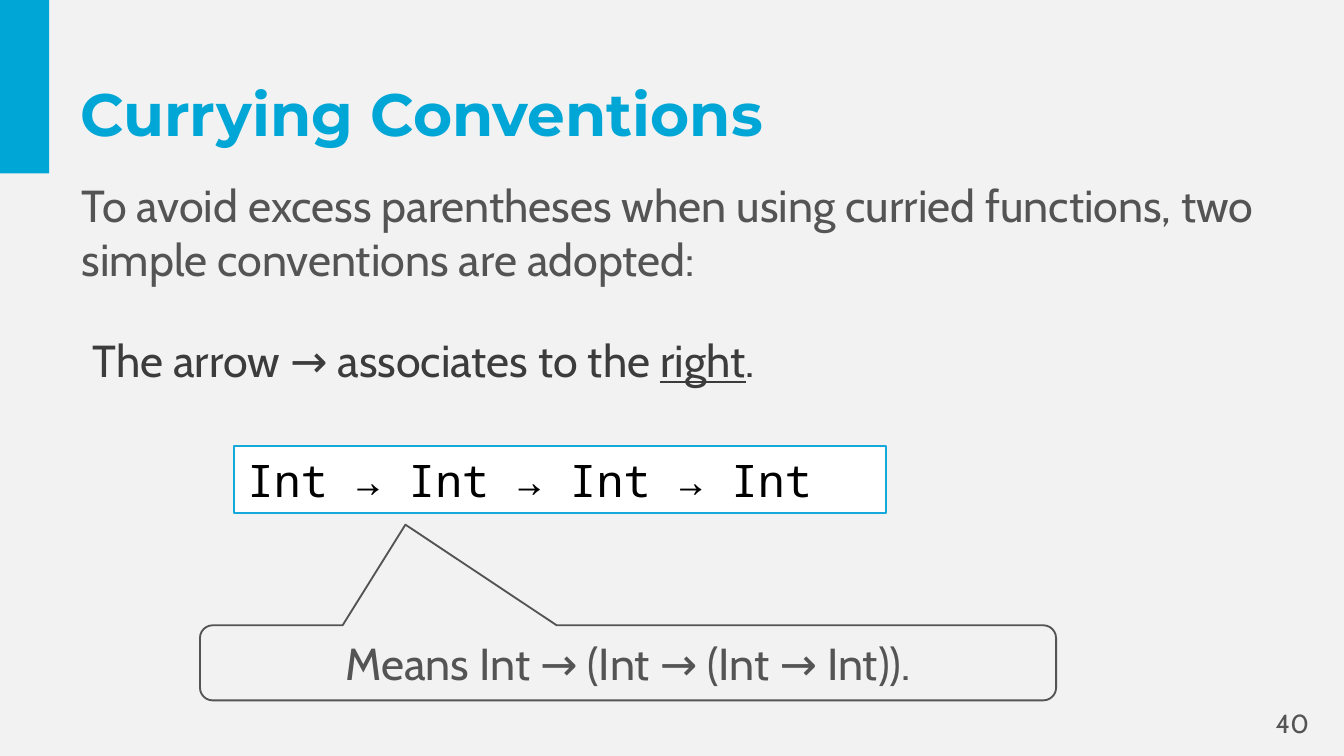
from pptx import Presentation
from pptx.dml.color import RGBColor
from pptx.enum.shapes import MSO_SHAPE
from pptx.enum.text import MSO_ANCHOR, PP_ALIGN
from pptx.util import Cm, Pt

TOP, MIDDLE = MSO_ANCHOR.TOP, MSO_ANCHOR.MIDDLE
LEFT, CENTER, RIGHT = PP_ALIGN.LEFT, PP_ALIGN.CENTER, PP_ALIGN.RIGHT
RECT, CALLOUT = MSO_SHAPE.RECTANGLE, MSO_SHAPE.ROUNDED_RECTANGULAR_CALLOUT
CYAN, GREY, DARK = "00A6D6", "545454", "3C3C3C"


def color(value):
    return RGBColor.from_string(value)


def write(box, text, ink, size=24, face="Cabin", align=LEFT, anchor=MIDDLE):
    frame = box.text_frame
    frame.word_wrap = True
    frame.vertical_anchor = anchor
    paragraph = frame.paragraphs[0]
    paragraph.text = text
    paragraph.alignment = align
    paragraph.font.name = face
    paragraph.font.size = Pt(size)
    paragraph.font.color.rgb = color(ink)
    return paragraph


prs = Presentation()
prs.slide_width, prs.slide_height = Cm(25.4), Cm(14.29)
slide = prs.slides.add_slide(prs.slide_layouts[6])
slide.background.fill.solid()
slide.background.fill.fore_color.rgb = color("F2F2F2")
shapes = slide.shapes

# Accent bar in the top left corner
accent = shapes.add_shape(RECT, 0, 0, Cm(0.93), Cm(3.28))
accent.shadow.inherit = False
accent.fill.solid()
accent.fill.fore_color.rgb = color(CYAN)
accent.line.fill.background()

# Page number
page_number = shapes.add_textbox(Cm(23.29), Cm(13.34), Cm(1.7), Cm(0.64))
write(page_number, "40", GREY, size=14, align=RIGHT)

# Title and introduction
title = shapes.add_textbox(Cm(1.27), Cm(0.58), Cm(22.86), Cm(3.1))
write(title, "Currying Conventions", CYAN, size=32, face="Montserrat").font.bold = True

intro = shapes.add_textbox(Cm(1.3), Cm(3.23), Cm(23.29), Cm(2.31))
write(intro, "To avoid excess parentheses when using curried functions, "
      "two simple conventions are adopted:", GREY)

# Convention, with its key word underlined
convention = shapes.add_textbox(Cm(1.5), Cm(6.17), Cm(20.52), Cm(1.32))
sentence = write(convention, "The arrow → associates to the ", DARK, anchor=TOP)
key_word = sentence.add_run()
key_word.text = "right"
key_word.font.underline = True
sentence.add_run().text = "."

# Type signature
signature = shapes.add_shape(RECT, Cm(4.42), Cm(8.43), Cm(12.32), Cm(1.27))
signature.shadow.inherit = False
signature.fill.solid()
signature.fill.fore_color.rgb = color("FFFFFF")
signature.line.color.rgb = color("15A8DB")
signature.line.width = Pt(1)
write(signature, "Int → Int → Int → Int", "000000", face="Noto Sans Mono")

# Callout pointing at the signature
meaning = shapes.add_shape(CALLOUT, Cm(3.78), Cm(11.82), Cm(16.18), Cm(1.42))
meaning.shadow.inherit = False
for i, value in enumerate((-0.26, -1.84, 0.17)):
    meaning.adjustments[i] = value
meaning.fill.background()
meaning.line.color.rgb = color(GREY)
meaning.line.width = Pt(1)
write(meaning, "Means Int → (Int → (Int → Int)).", GREY, align=CENTER)

prs.save("out.pptx")
